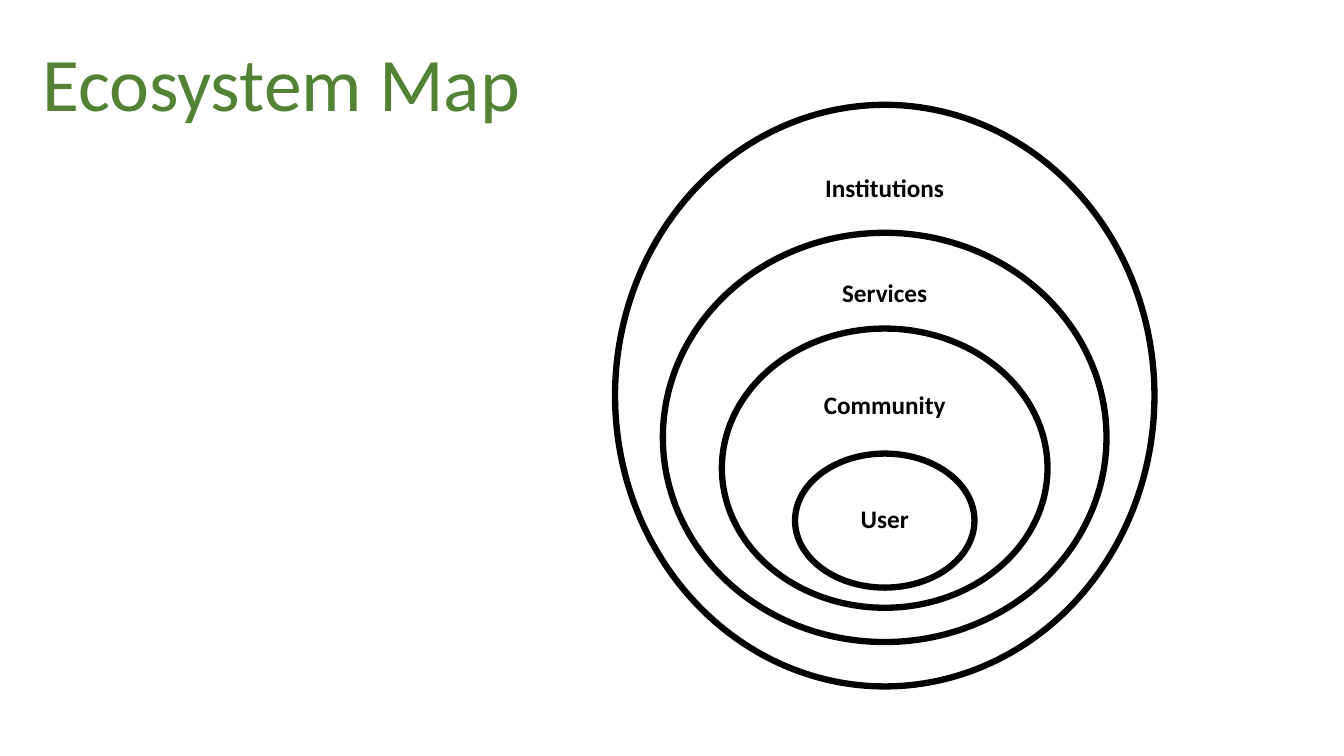
from pptx import Presentation
from pptx.dml.color import RGBColor
from pptx.enum.shapes import MSO_SHAPE as Shape
from pptx.enum.text import MSO_ANCHOR as Anchor, PP_ALIGN as Align
from pptx.util import Inches, Pt

GREEN = RGBColor(0x54, 0x82, 0x35)
BLACK = RGBColor(0, 0, 0)
FONT = "Calibri"
LABEL_HEIGHT = 0.37

# name, ring width, ring height, ring top, label top, label width;
# tops are measured from the top of the map
RINGS = [
    ("User", 1.78, 1.33, 3.46, 3.90, 1.12),
    ("Community", 3.23, 2.77, 2.22, 2.77, 1.66),
    ("Services", 4.40, 4.06, 1.27, 1.66, 1.66),
    ("Institutions", 5.35, 5.77, 0, 0.62, 1.66),
]


def add_text(shapes, text, left, top, width, height, *, size, color,
             bold=False, align=Align.LEFT, anchor=Anchor.TOP, spacing=None):
    box = shapes.add_textbox(Inches(left), Inches(top), Inches(width), Inches(height))
    frame = box.text_frame
    frame.word_wrap = True
    frame.vertical_anchor = anchor
    paragraph = frame.paragraphs[0]
    paragraph.alignment = align
    paragraph.line_spacing = spacing
    run = paragraph.add_run()
    run.text = text
    run.font.name = FONT
    run.font.size = Pt(size)
    run.font.bold = bold
    run.font.color.rgb = color


def add_ring(shapes, left, top, width, height):
    ring = shapes.add_shape(Shape.OVAL, Inches(left), Inches(top),
                            Inches(width), Inches(height))
    ring.shadow.inherit = False
    ring.fill.background()
    ring.line.color.rgb = BLACK
    ring.line.width = Pt(4.5)


def add_title(slide, left, top, width, height):
    add_text(slide.shapes, "Ecosystem Map", left, top, width, height,
             size=54, color=GREEN, anchor=Anchor.MIDDLE, spacing=0.9)


def add_ecosystem_map(slide, left, top, width):
    """Nested rings, all centred on one vertical axis, each with its label."""
    shapes = slide.shapes.add_group_shape().shapes
    axis = left + width / 2
    for _, ring_width, ring_height, ring_top, _, _ in RINGS:
        add_ring(shapes, axis - ring_width / 2, top + ring_top, ring_width, ring_height)
    for name, _, _, _, label_top, label_width in RINGS:
        add_text(shapes, name, axis - label_width / 2, top + label_top,
                 label_width, LABEL_HEIGHT, size=18, color=BLACK, bold=True,
                 align=Align.CENTER)


def main():
    deck = Presentation()
    deck.slide_width = Inches(13.33)
    deck.slide_height = Inches(7.5)
    slide = deck.slides.add_slide(deck.slide_layouts[6])
    add_title(slide, 0.32, 0.14, 12.79, 1.45)
    add_ecosystem_map(slide, 6.1, 1.04, 5.35)
    deck.save("out.pptx")


if __name__ == "__main__":
    main()
